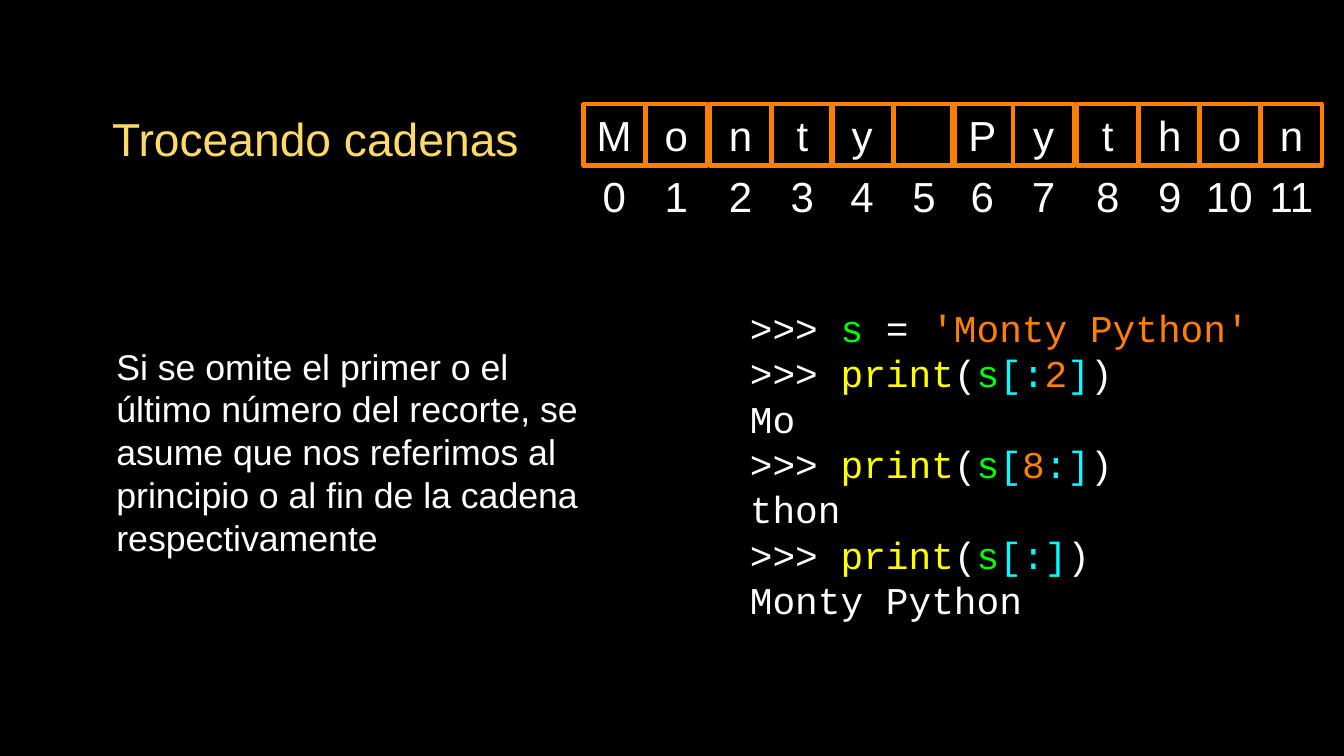
from dataclasses import dataclass

from pptx import Presentation
from pptx.dml.color import RGBColor
from pptx.enum.shapes import MSO_SHAPE as Shape
from pptx.enum.text import MSO_ANCHOR as Anchor, PP_ALIGN as Align
from pptx.slide import Slide
from pptx.util import Pt

WHITE, ORANGE, GREEN = "FFFFFF", "FF7F00", "00FF00"
YELLOW, CYAN, GOLD, BLACK = "FFFF00", "00FFFF", "FFD966", "000000"

TOKEN_COLORS = {
    "s": GREEN,
    "print": YELLOW,
    "'Monty Python'": ORANGE,
    "2": ORANGE,
    "8": ORANGE,
    "[": CYAN,
    "]": CYAN,
    "[:": CYAN,
    ":]": CYAN,
    "[:]": CYAN,
}

CODE = [
    [">>> ", "s", " = ", "'Monty Python'"],
    [">>> ", "print", "(", "s", "[:", "2", "]", ")"],
    ["Mo"],
    [">>> ", "print", "(", "s", "[", "8", ":]", ")"],
    ["thon"],
    [">>> ", "print", "(", "s", "[:]", ")"],
    ["Monty Python"],
]

CELL_LEFTS = [555.84, 614.88, 676.08, 735.12, 792, 851.04,
              906.48, 964.8, 1026, 1085.04, 1141.92, 1200.96]
CELL_SIZE, CELL_TOP, INDEX_TOP = 58.32, 99.36, 156.96


def color(value):
    return RGBColor.from_string(value)


@dataclass
class SlideBuilder:
    slide: Slide
    font: str = "Arial"
    code_font: str = "Courier New"
    cell_text_size: float = 40
    line_width: float = 4

    def background(self, value):
        fill = self.slide.background.fill
        fill.solid()
        fill.fore_color.rgb = color(value)

    def style_run(self, run, size, value, font):
        run.font.size = Pt(size)
        run.font.name = font
        run.font.color.rgb = color(value)

    def prepare_frame(self, shape, inset=0, left_inset=0):
        frame = shape.text_frame
        frame.word_wrap = True
        frame.vertical_anchor = Anchor.MIDDLE
        frame.margin_left = Pt(left_inset or inset)
        frame.margin_right = frame.margin_top = frame.margin_bottom = Pt(inset)
        return frame

    def fill_frame(self, frame, text, size, value, align):
        frame.text = text
        paragraph = frame.paragraphs[0]
        paragraph.alignment = align
        for run in paragraph.runs:
            self.style_run(run, size, value, self.font)
        return paragraph

    def text(self, box, text, size, value=WHITE, align=Align.CENTER, inset=0, left_inset=0):
        shape = self.slide.shapes.add_textbox(*map(Pt, box))
        frame = self.prepare_frame(shape, inset, left_inset)
        return self.fill_frame(frame, text, size, value, align)

    def cell(self, left, letter):
        box = (left, CELL_TOP, CELL_SIZE, CELL_SIZE)
        shape = self.slide.shapes.add_shape(Shape.RECTANGLE, *map(Pt, box))
        shape.shadow.inherit = False
        shape.fill.background()
        shape.line.color.rgb = color(ORANGE)
        shape.line.width = Pt(self.line_width)
        frame = self.prepare_frame(shape)
        if letter.strip():
            self.fill_frame(frame, letter, self.cell_text_size, WHITE, Align.CENTER)

    def index(self, left, number):
        box = (left, INDEX_TOP, CELL_SIZE, CELL_SIZE)
        self.text(box, str(number), self.cell_text_size)

    def code(self, box, lines, size, spacing):
        shape = self.slide.shapes.add_textbox(*map(Pt, box))
        frame = self.prepare_frame(shape)
        for number, tokens in enumerate(lines):
            paragraph = frame.add_paragraph() if number else frame.paragraphs[0]
            paragraph.alignment = Align.LEFT
            paragraph.line_spacing = Pt(spacing)
            for token in tokens:
                run = paragraph.add_run()
                run.text = token
                self.style_run(run, size, TOKEN_COLORS.get(token, WHITE), self.code_font)


def main():
    presentation = Presentation()
    presentation.slide_width = Pt(1280.16)
    presentation.slide_height = Pt(720)
    builder = SlideBuilder(presentation.slides.add_slide(presentation.slide_layouts[6]))
    builder.background(BLACK)

    builder.code((714.24, 288.72, 540.72, 305.28), CODE, 36, 43.15)
    explanation = builder.text(
        (90.72, 205.2, 485.28, 449.28),
        "Si se omite el primer o el último número del recorte, se asume que nos "
        "referimos al principio o al fin de la cadena respectivamente",
        34, align=Align.LEFT, inset=2.88, left_inset=20.16)
    explanation.line_spacing = Pt(40.7)

    for number, (left, letter) in enumerate(zip(CELL_LEFTS, "Monty Python")):
        builder.index(left, number)
        builder.cell(left, letter)

    builder.text((51.12, 64.08, 498.96, 134.64), "Troceando cadenas", 44, GOLD, inset=2.88)
    presentation.save("out.pptx")


if __name__ == "__main__":
    main()
